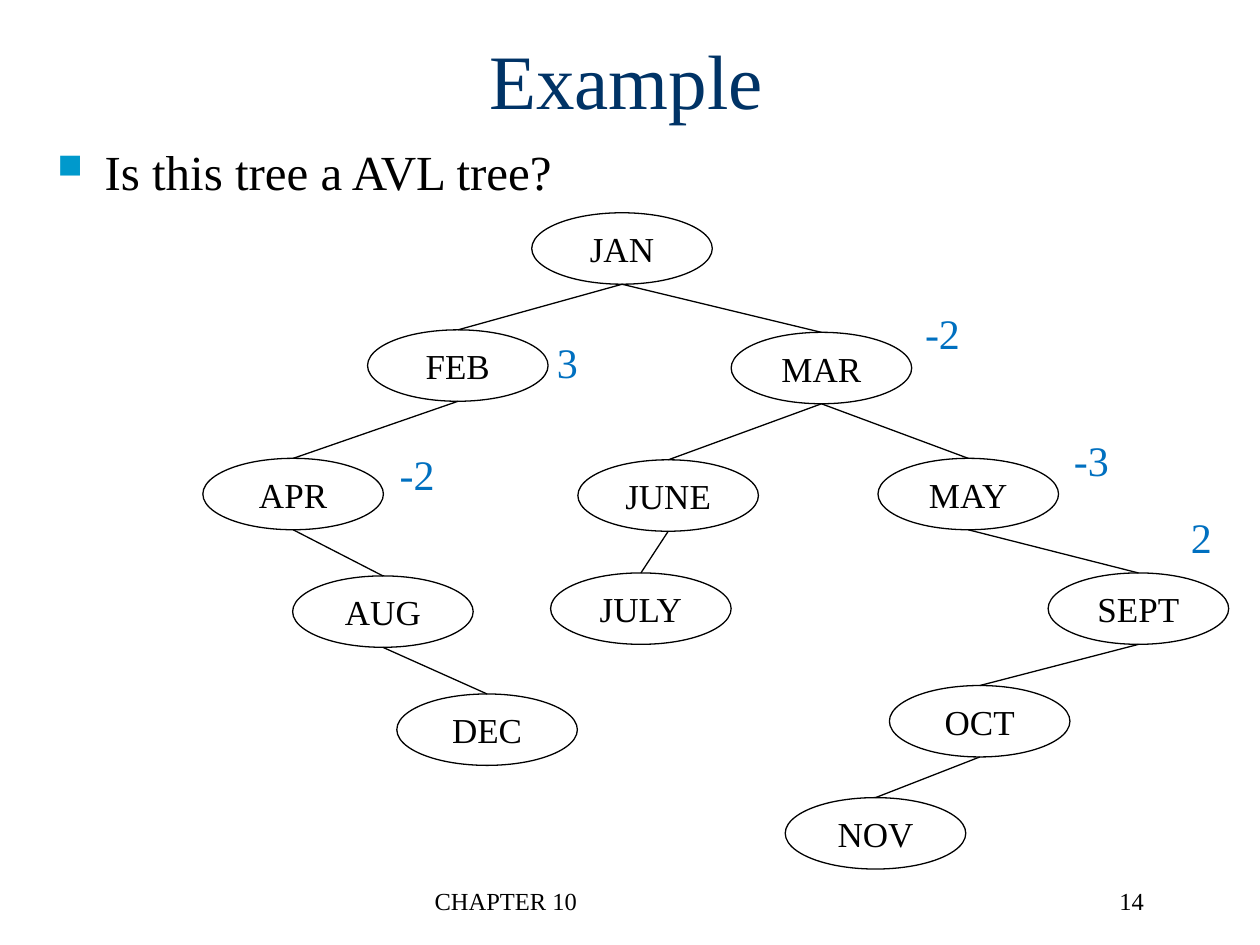
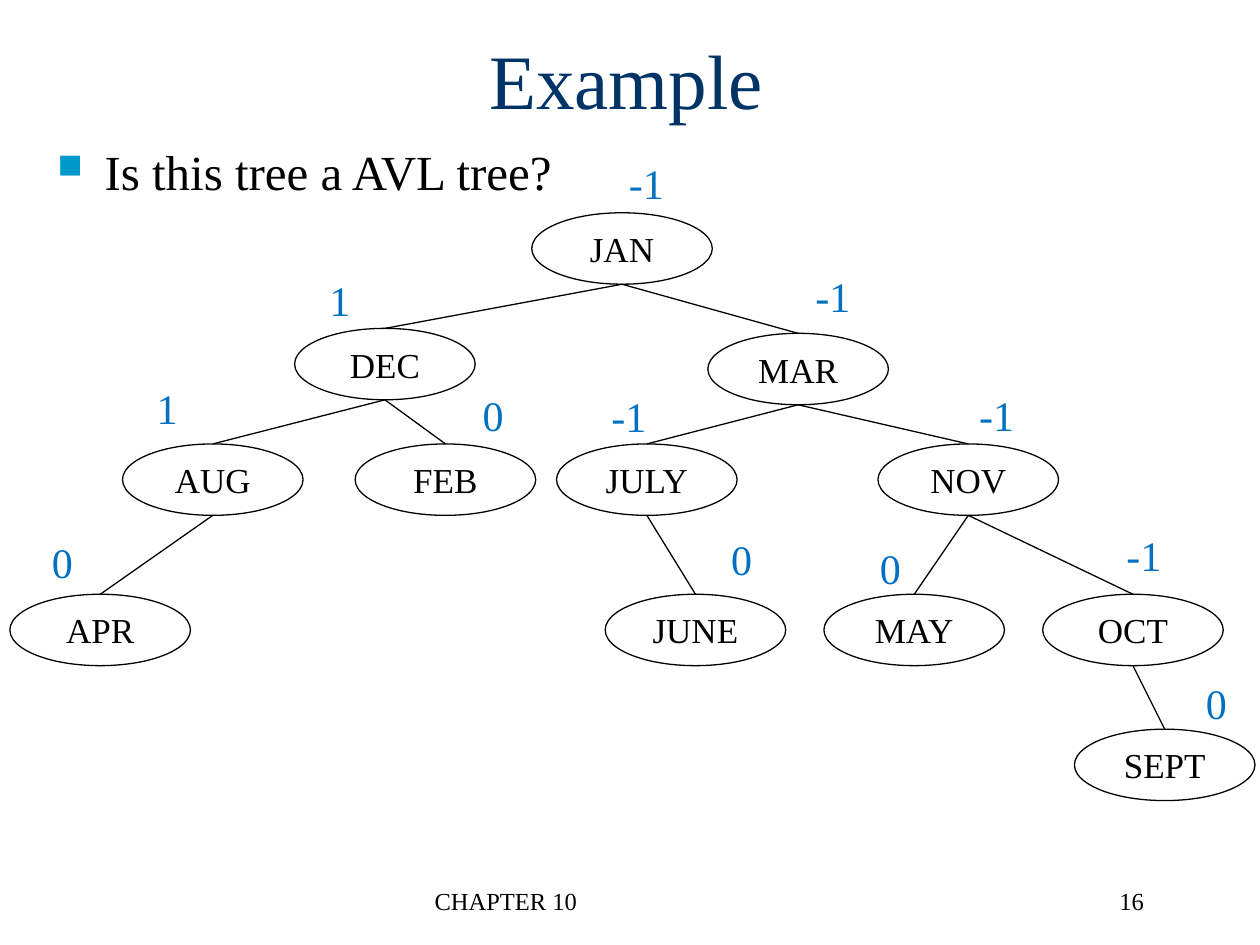
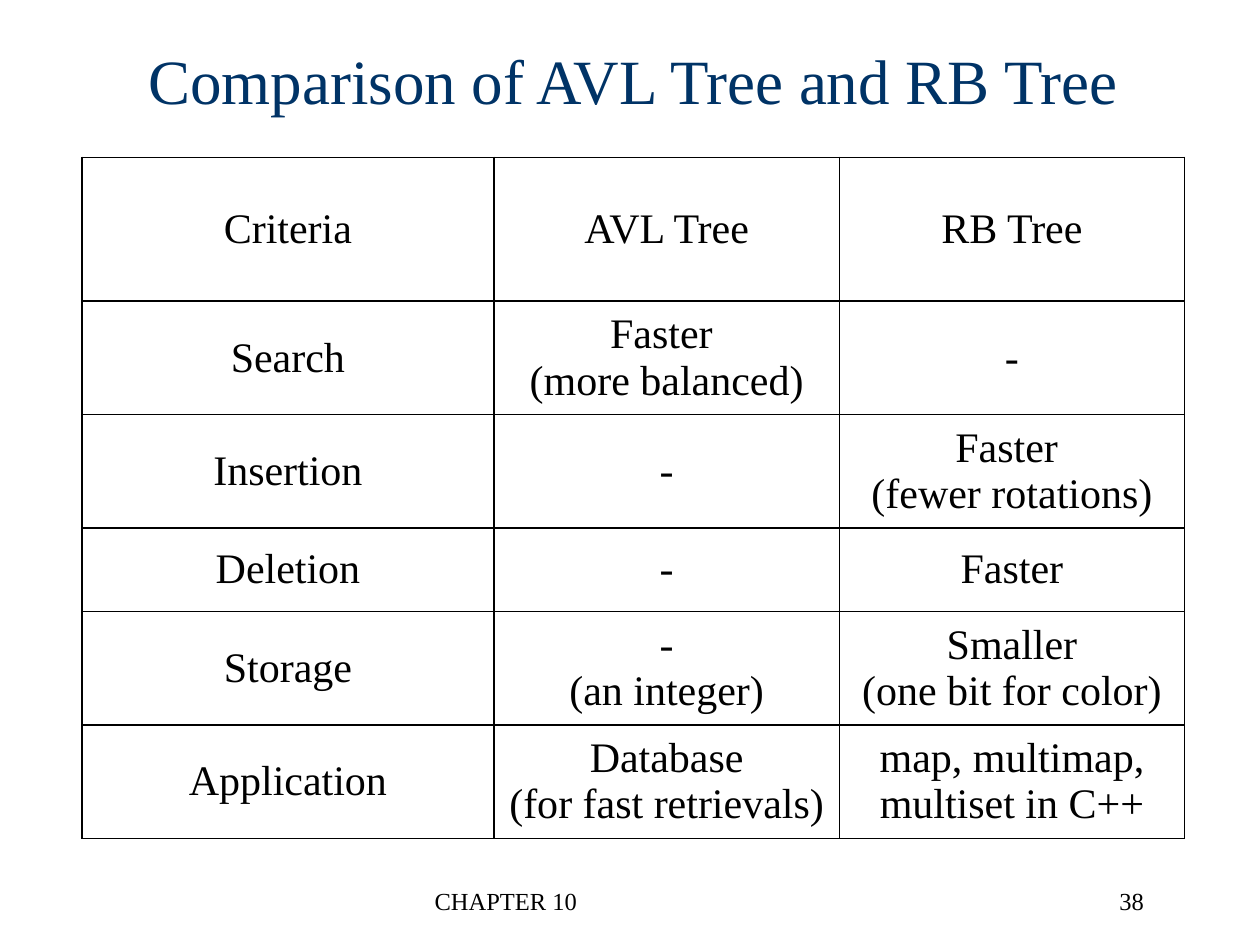
from lxml import etree
from pptx import Presentation
from pptx import util as u
from pptx.dml import color
from pptx.enum import shapes, text
from pptx.oxml import ns

COLORS = {
    "title": "003366",
    "text": "000000",
    "balance": "0070C0",
    "bullet": "0099CC",
    "line": "000000",
    "cell": "FFFFFF",
}
FONT = "Times New Roman"
NODE_WIDTH, NODE_HEIGHT = 3.64, 1.44
LEFT, CENTER, RIGHT = text.PP_ALIGN.LEFT, text.PP_ALIGN.CENTER, text.PP_ALIGN.RIGHT
QUESTION = "Is this tree a AVL tree?"

# Each node: name, parent, left, top, balance factor (text, left, top); cm
UNBALANCED_TREE = [
    ("JAN", None, 10.72, 4.29, None),
    ("FEB", "JAN", 7.41, 6.65, ("3", 10.97, 6.65)),
    ("APR", "FEB", 4.09, 9.24, ("-2", 7.8, 8.92)),
    ("AUG", "APR", 5.9, 11.61, None),
    ("DEC", "AUG", 8.0, 13.99, None),
    ("MAR", "JAN", 14.74, 6.7, ("-2", 18.39, 6.07)),
    ("JUNE", "MAR", 11.65, 9.27, None),
    ("JULY", "JUNE", 11.1, 11.55, None),
    ("MAY", "MAR", 17.7, 9.24, ("-3", 21.39, 8.64)),
    ("SEPT", "MAY", 21.13, 11.55, ("2", 23.75, 10.19)),
    ("OCT", "SEPT", 17.93, 13.82, None),
    ("NOV", "OCT", 15.83, 16.08, None),
]
BALANCED_TREE = [
    ("JAN", None, 10.72, 4.29, ("-1", 12.42, 3.05)),
    ("DEC", "JAN", 5.94, 6.62, ("1", 6.38, 5.41)),
    ("AUG", "DEC", 2.47, 8.95, ("1", 2.9, 7.59)),
    ("FEB", "DEC", 7.16, 8.95, ("0", 9.47, 7.72)),
    ("APR", "AUG", 0.2, 11.98, ("0", 0.79, 10.69)),
    ("MAR", "JAN", 14.27, 6.72, ("-1", 16.18, 5.33)),
    ("JULY", "MAR", 11.22, 8.95, ("-1", 12.07, 7.75)),
    ("JUNE", "JULY", 12.2, 11.98, ("0", 14.48, 10.64)),
    ("NOV", "MAR", 17.7, 8.95, ("-1", 19.48, 7.72)),
    ("OCT", "NOV", 21.02, 11.98, ("-1", 22.45, 10.54)),
    ("SEPT", "OCT", 21.66, 14.7, ("0", 24.05, 13.54)),
    ("MAY", "NOV", 16.61, 11.98, ("0", 17.48, 10.82)),
]
COMPARISON = [
    ("Criteria", "AVL Tree", "RB Tree"),
    ("Search", "Faster \n(more balanced)", "-"),
    ("Insertion", "-", "Faster \n(fewer rotations)"),
    ("Deletion", "-", "Faster"),
    ("Storage", "-\n(an integer)", "Smaller\n(one bit for color)"),
    ("Application", "Database\n(for fast retrievals)", "map, multimap, multiset in C++"),
]


def rgb(name):
    return color.RGBColor.from_string(COLORS[name])


def add_xml(parent, tag, **attributes):
    return etree.SubElement(parent, ns.qn(tag), attributes)


def write(frame, content, size, color_name="text", align=CENTER):
    """Fill the first paragraph, with a line break at each newline."""
    paragraph = frame.paragraphs[0]
    paragraph.alignment = align
    for index, line in enumerate(content.split("\n")):
        if index:
            paragraph.add_line_break()
        run = paragraph.add_run()
        run.text = line
        run.font.name = FONT
        run.font.size = u.Pt(size)
        run.font.color.rgb = rgb(color_name)
    return paragraph


def add_text(slide, box, content, size, color_name="text", align=LEFT,
             anchor=text.MSO_ANCHOR.TOP, wrap=True):
    frame = slide.shapes.add_textbox(*map(u.Cm, box)).text_frame
    frame.word_wrap = wrap
    frame.vertical_anchor = anchor
    return write(frame, content, size, color_name, align)


def space_before(paragraph, percent):
    spacing = add_xml(paragraph._p.get_or_add_pPr(), "a:spcBef")
    add_xml(spacing, "a:spcPct", val=str(percent * 1000))


def add_question(slide, content):
    paragraph = add_text(slide, (0.91, 2.72, 23.9, 14.48), content, 28)
    space_before(paragraph, 20)
    properties = paragraph._p.get_or_add_pPr()
    indent = u.Cm(0.95)
    properties.set("marL", str(indent))
    properties.set("indent", str(-indent))
    bullet_color = add_xml(properties, "a:buClr")
    add_xml(bullet_color, "a:srgbClr", val=COLORS["bullet"])
    add_xml(properties, "a:buSzPct", val="70000")
    add_xml(properties, "a:buChar", char="■")


def add_slide(presentation, title, number, title_box=(1.83, 0, 21.59, 3.18), title_size=44):
    """Blank slide with the shared title and footer."""
    slide = presentation.slides.add_slide(presentation.slide_layouts[6])
    footer = add_text(slide, (8.51, 17.73, 8.05, 1.27), "CHAPTER 10", 14)
    page = add_text(slide, (18.03, 17.73, 5.28, 1.27), str(number), 14, align=RIGHT)
    for paragraph in (footer, page):
        space_before(paragraph, 50)
    add_text(slide, title_box, title, title_size, "title", CENTER, text.MSO_ANCHOR.MIDDLE)
    return slide


def add_node(slide, name, left, top):
    node = slide.shapes.add_shape(
        shapes.MSO_SHAPE.OVAL, *map(u.Cm, (left, top, NODE_WIDTH, NODE_HEIGHT)))
    node.shadow.inherit = False
    node.fill.background()
    node.line.color.rgb = rgb("line")
    node.line.width = u.Pt(0.75)
    node.text_frame.word_wrap = False
    node.text_frame.vertical_anchor = text.MSO_ANCHOR.MIDDLE
    write(node.text_frame, name, 20)
    return node


def add_branch(slide, parent, child):
    """Line from the bottom of the parent to the top of the child."""
    branch = slide.shapes.add_connector(
        shapes.MSO_CONNECTOR.STRAIGHT,
        parent.left + parent.width // 2, parent.top + parent.height,
        child.left + child.width // 2, child.top)
    branch.end_connect(child, 0)
    branch.line.color.rgb = rgb("line")
    branch.line.width = u.Pt(0.75)
    add_xml(branch._element.spPr, "a:effectLst")


def add_balance(slide, factor, left, top):
    width = 1.22 if len(factor) == 2 else 0.94
    add_text(slide, (left, top, width, 1.27), factor, 24, "balance", CENTER, wrap=False)


def add_tree(slide, tree):
    nodes = {}
    for name, parent, left, top, balance in tree:
        nodes[name] = add_node(slide, name, left, top)
        if parent:
            add_branch(slide, nodes[parent], nodes[name])
        if balance:
            add_balance(slide, *balance)


def style_cell(cell):
    properties = cell._tc.get_or_add_tcPr()
    for side in ("a:lnL", "a:lnR", "a:lnT", "a:lnB"):
        border = add_xml(properties, side, w=str(u.Pt(1)))
        fill = add_xml(border, "a:solidFill")
        add_xml(fill, "a:srgbClr", val=COLORS["line"])
    cell.fill.solid()
    cell.fill.fore_color.rgb = rgb("cell")
    cell.vertical_anchor = text.MSO_ANCHOR.MIDDLE


def add_comparison(slide, rows):
    widths = (8.31, 6.96, 6.96)
    heights = [2.9] + [1.68] * (len(rows) - 1)
    table = slide.shapes.add_table(
        len(rows), len(widths), u.Cm(1.65), u.Cm(3.17),
        u.Cm(sum(widths)), u.Cm(sum(heights))).table
    table.first_row = table.horz_banding = False
    for column, width in zip(table.columns, widths):
        column.width = u.Cm(width)
    for row, height, contents in zip(table.rows, heights, rows):
        row.height = u.Cm(height)
        for cell, content in zip(row.cells, contents):
            style_cell(cell)
            write(cell.text_frame, content, 24)


def main():
    presentation = Presentation()
    presentation.slide_width, presentation.slide_height = u.Cm(25.4), u.Cm(19.05)

    # Tree slides
    for number, tree in ((14, UNBALANCED_TREE), (16, BALANCED_TREE)):
        slide = add_slide(presentation, "Example", number)
        add_question(slide, QUESTION)
        add_tree(slide, tree)

    # Comparison table
    slide = add_slide(presentation, "Comparison of AVL Tree and RB Tree", 38,
                      (0.56, 0, 24.41, 3.18), 36)
    add_comparison(slide, COMPARISON)

    presentation.save("out.pptx")


if __name__ == "__main__":
    main()
